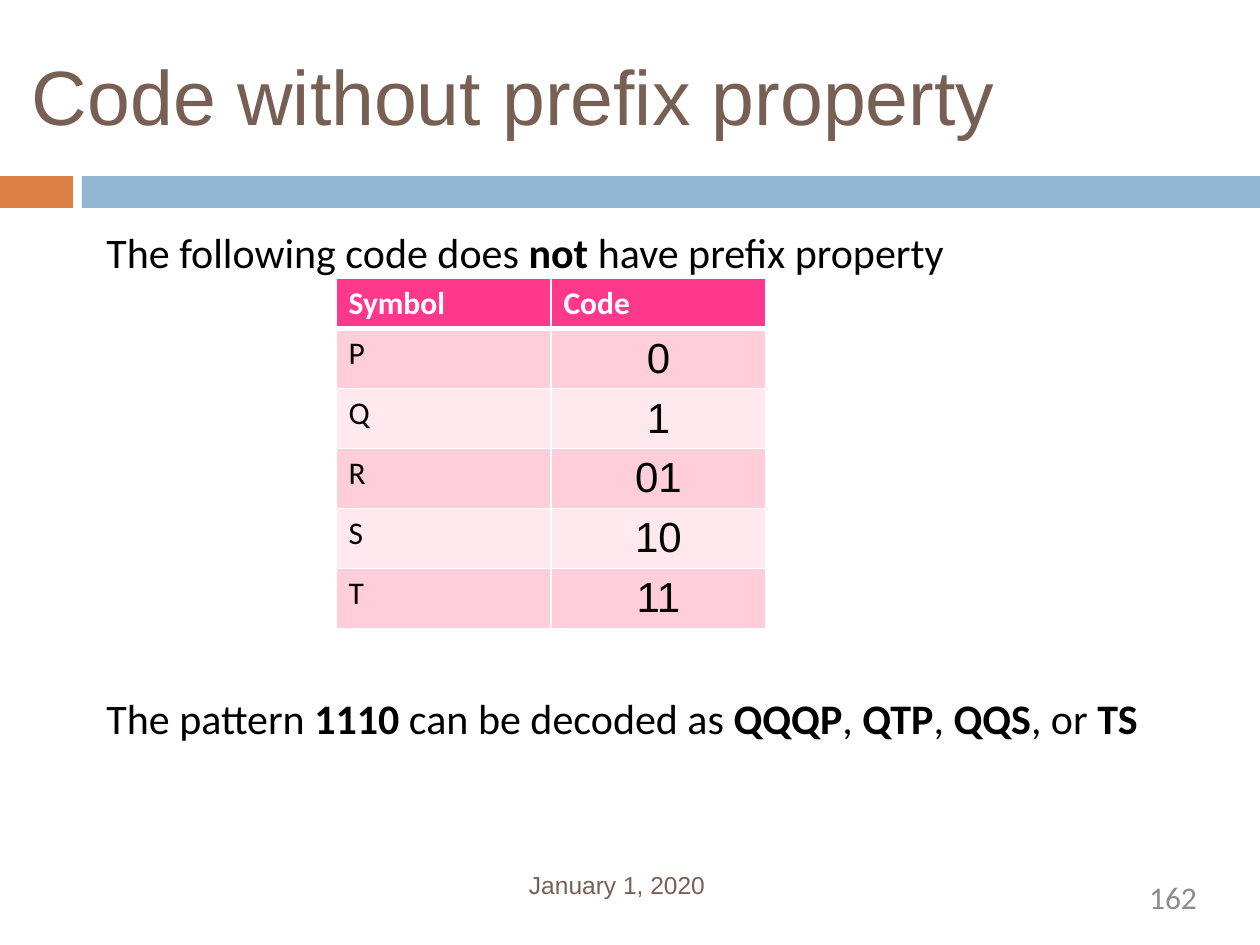
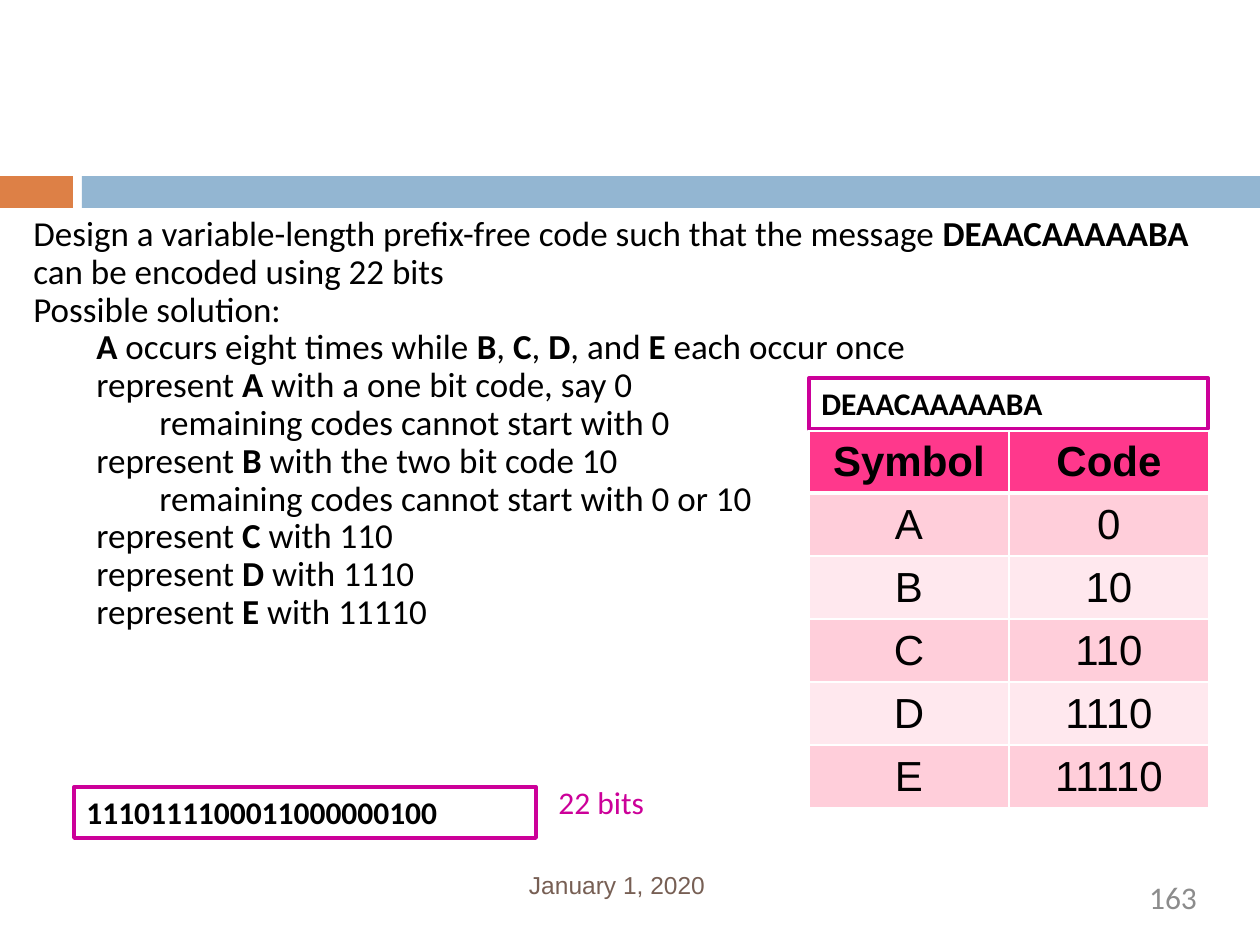
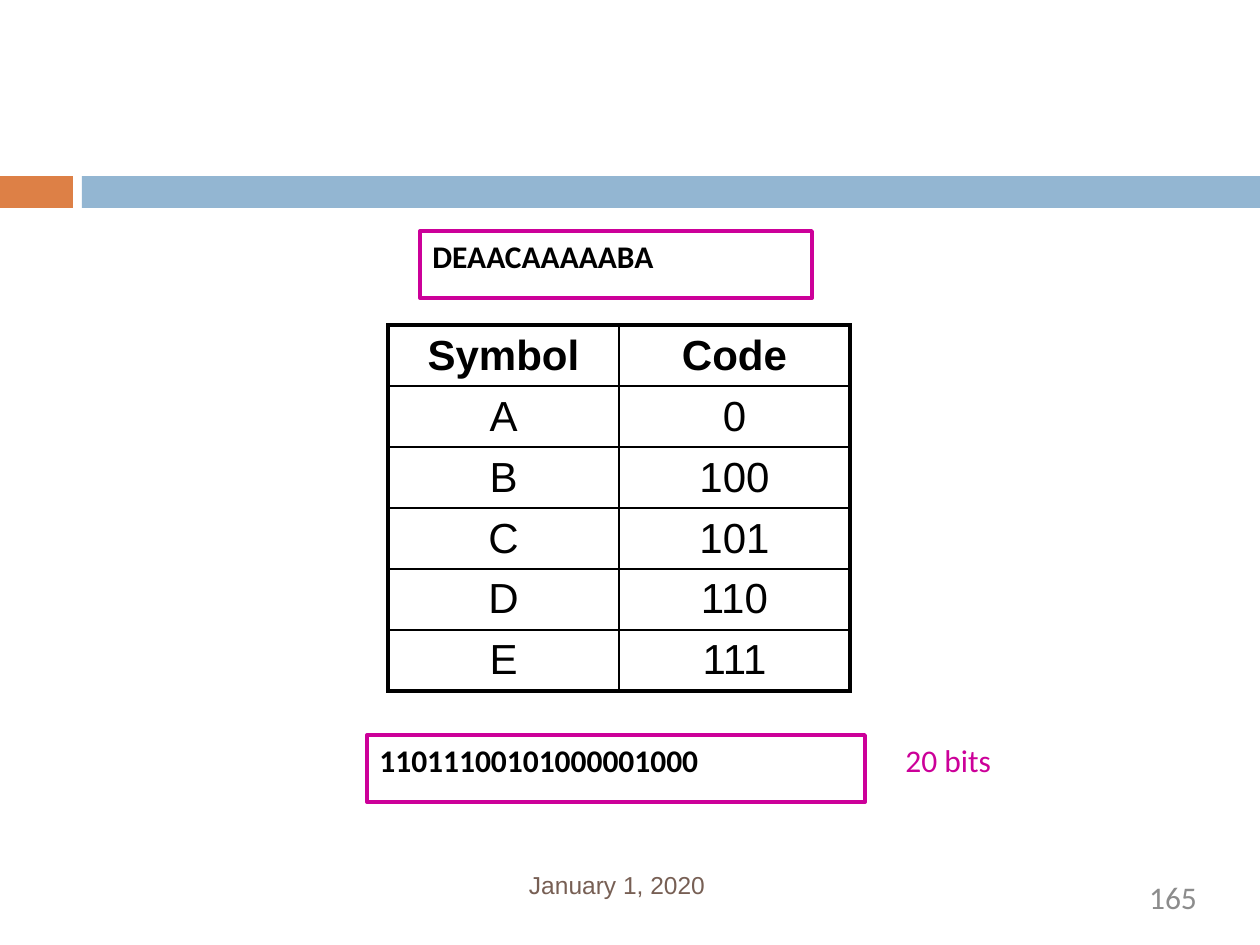
from dataclasses import dataclass

from lxml.etree import SubElement
from pptx import Presentation
from pptx.dml.color import RGBColor
from pptx.enum.shapes import MSO_SHAPE as Shape
from pptx.enum.text import MSO_ANCHOR as Anchor, PP_ALIGN as Align
from pptx.oxml.ns import qn
from pptx.util import Pt

EMU_PER_PX = 914400 / 126


@dataclass(frozen=True)
class Theme:
    """Colours, fonts and type sizes shared by the slides."""

    ink: str = "000000"
    paper: str = "FFFFFF"
    brown: str = "775F54"
    grey: str = "8C8C8C"
    orange: str = "DD8046"
    blue: str = "93B6D2"
    magenta: str = "CC0099"
    pink: str = "FF388C"
    pink_mid: str = "FFCEDA"
    pink_pale: str = "FFE8EE"
    sans: str = "Arial"
    body: str = "Calibri"
    title_size: int = 44
    lead_size: int = 24
    list_size: int = 20
    label_size: int = 18
    date_size: int = 14


THEME = Theme()


@dataclass(frozen=True)
class TableLook:
    """Borders, fills and label style of a code table."""

    line: str
    inner: float
    outer: float
    header_rule: float
    header_ink: str = THEME.ink
    header_fill: str = ""
    band_fills: tuple = ("", "")
    small_labels: bool = False


BANDED = dict(line=THEME.paper, inner=1, outer=1, header_rule=3,
              header_fill=THEME.pink,
              band_fills=(THEME.pink_mid, THEME.pink_pale))
PINK_SMALL = TableLook(**BANDED, header_ink=THEME.paper, small_labels=True)
PINK_LARGE = TableLook(**BANDED)
RULED = TableLook(line=THEME.ink, inner=1, outer=2.25, header_rule=1)


def px(*lengths):
    """Turn pixel lengths into EMU."""
    return [round(length * EMU_PER_PX) for length in lengths]


def colour(value):
    """Make a colour from its hex value."""
    return RGBColor.from_string(value)


def style(para, size, ink=THEME.ink, face=THEME.body, bold=False):
    """Format every run of a paragraph."""
    for span in para.runs:
        span.font.size = Pt(size)
        span.font.name = face
        span.font.bold = bold
        span.font.color.rgb = colour(ink)


def write_marked(para, marked, size):
    """Write text in which stars enclose the bold parts."""
    parts = marked.split("*")
    for part in parts:
        para.add_run().text = part
    style(para, size)
    for span in para.runs[1::2]:
        span.font.bold = True
    for span in [span for span in para.runs if not span.text]:
        para._p.remove(span._r)


def add_box(page, at, inset=True):
    """Add a wrapping text box and return its text frame."""
    frame = page.shapes.add_textbox(*px(*at)).text_frame
    frame.word_wrap = True
    if not inset:
        frame.margin_left = frame.margin_right = 0
        frame.margin_top = frame.margin_bottom = 0
    return frame


def add_label(page, text, at, size, ink, face=THEME.body, inset=False):
    """Add a one-line label and return its paragraph."""
    frame = add_box(page, at, inset)
    frame.text = text
    para = frame.paragraphs[0]
    style(para, size, ink, face)
    return para


def add_statement(page, marked, at):
    """Add a lead sentence with bold parts."""
    write_marked(add_box(page, at).paragraphs[0], marked, THEME.lead_size)


def add_outline(page, items, at):
    """Add indented paragraphs given as level and marked text."""
    frame = add_box(page, at)
    for index, (level, marked) in enumerate(items):
        para = frame.add_paragraph() if index else frame.paragraphs[0]
        para.line_spacing = 0.9
        para.level = level
        properties = para._p.get_or_add_pPr()
        properties.set("marL", str(px(63 * level)[0]))
        properties.set("indent", "0")
        write_marked(para, marked, THEME.list_size)


def add_band(page, fill, at):
    """Add one solid block of the band under the title."""
    band = page.shapes.add_shape(Shape.RECTANGLE, *px(*at))
    band.shadow.inherit = False
    band.fill.solid()
    band.fill.fore_color.rgb = colour(fill)
    band.line.fill.background()


def add_framed_code(page, text, at):
    """Add a bold message inside a magenta frame."""
    box = page.shapes.add_shape(Shape.RECTANGLE, *px(*at))
    box.shadow.inherit = False
    box.fill.background()
    box.line.color.rgb = colour(THEME.magenta)
    box.line.width = Pt(2.25)
    frame = box.text_frame
    frame.word_wrap = True
    frame.vertical_anchor = Anchor.TOP
    frame.text = text
    para = frame.paragraphs[0]
    para.alignment = Align.LEFT
    style(para, THEME.label_size, bold=True)


def add_bit_count(page, text, at):
    """Add the magenta length of an encoded message."""
    add_label(page, text, at, THEME.label_size, THEME.magenta, inset=True)


def set_borders(cell, ink, widths):
    """Draw the left, right, top and bottom borders of a cell."""
    properties = cell._tc.get_or_add_tcPr()
    for side, width in zip("LRTB", widths):
        line = SubElement(properties, qn(f"a:ln{side}"), w=str(Pt(width)))
        fill = SubElement(line, qn("a:solidFill"))
        SubElement(fill, qn("a:srgbClr"), val=ink)


def fill_cell(cell, fill):
    """Fill a cell, or leave it clear when no colour is given."""
    if fill:
        cell.fill.solid()
        cell.fill.fore_color.rgb = colour(fill)
    else:
        cell.fill.background()


def write_cell(cell, text, look, header, label):
    """Write a cell as a small label or as a large centred code."""
    cell.text_frame.text = text
    para = cell.text_frame.paragraphs[0]
    ink = look.header_ink if header else THEME.ink
    if look.small_labels and (header or label):
        style(para, THEME.label_size, ink, bold=header)
        return
    cell.vertical_anchor = Anchor.MIDDLE
    cell.margin_top, cell.margin_bottom = px(3, 3)
    para.alignment = Align.CENTER
    style(para, THEME.lead_size, ink, THEME.sans, header)


def add_code_table(page, codes, corner, column, heights, look):
    """Add a table of symbols and their codes."""
    rows = [("Symbol", "Code"), *codes]
    header_height, row_height = heights
    total = header_height + row_height * len(codes)
    table = page.shapes.add_table(
        len(rows), 2, *px(*corner, 2 * column, total)).table
    for table_column in table.columns:
        table_column.width = px(column)[0]
    rules = [look.outer, look.header_rule,
             *[look.inner] * (len(codes) - 1), look.outer]
    uprights = [look.outer, look.inner, look.outer]
    for y, row in enumerate(rows):
        table.rows[y].height = px(row_height if y else header_height)[0]
        fill = look.band_fills[(y - 1) % 2] if y else look.header_fill
        for x, text in enumerate(row):
            cell = table.cell(y, x)
            set_borders(cell, look.line,
                        uprights[x:x + 2] + rules[y:y + 2])
            fill_cell(cell, fill)
            write_cell(cell, text, look, y == 0, x == 0)


def add_page(deck, number):
    """Add a slide with its bands, date and page number."""
    page = deck.slides.add_slide(deck.slide_layouts[6])
    add_band(page, THEME.orange, (0, 176, 73, 32))
    add_band(page, THEME.blue, (82, 176, 1178, 32))
    date = add_label(page, "January 1, 2020", (529, 872, 292, 30),
                     THEME.date_size, THEME.brown, THEME.sans)
    date.line_spacing = Pt(15.8)
    folio = add_label(page, str(number), (907, 878, 290, 48),
                      THEME.label_size, THEME.grey)
    folio.alignment = Align.RIGHT
    return page


def build_ambiguous_code(deck):
    """Build the slide on a code without the prefix property."""
    page = add_page(deck, 162)
    add_label(page, "Code without prefix property", (32, 48, 1140, 96),
              THEME.title_size, THEME.brown, THEME.sans)
    add_statement(page, "The following code does *not* have prefix property",
                  (94, 220, 1071, 62))
    add_statement(page, "The pattern *1110* can be decoded as "
                  "*QQQP*, *QTP*, *QQS*, or *TS*", (94, 686, 1071, 62))
    codes = list(zip("PQRST", ("0", "1", "01", "10", "11")))
    add_code_table(page, codes, (336, 278), 215, (50, 60), PINK_SMALL)


def build_first_design(deck):
    """Build the slide that derives a 22-bit encoding."""
    page = add_page(deck, 163)
    add_outline(page, [
        (0, "Design a variable-length prefix-free code such that the message "
            "*DEAACAAAAABA* can be encoded using 22 bits"),
        (0, "Possible solution:"),
        (1, "*A* occurs eight times while *B*, *C*, *D*, and *E* "
            "each occur once"),
        (1, "represent *A* with a one bit code, say 0"),
        (2, "remaining codes cannot start with 0"),
        (1, "represent *B* with the two bit code 10"),
        (2, "remaining codes cannot start with 0 or 10"),
        (1, "represent *C* with 110"),
        (1, "represent *D* with 1110"),
        (1, "represent *E* with 11110"),
    ], (21, 210, 1207, 672))
    add_framed_code(page, "DEAACAAAAABA", (809, 378, 399, 51))
    codes = list(zip("ABCDE", ("0", "10", "110", "1110", "11110")))
    add_code_table(page, codes, (809, 431), 200, (62, 63), PINK_LARGE)
    add_framed_code(page, "1110111100011000000100", (74, 787, 462, 51))
    add_bit_count(page, "22 bits", (546, 777, 149, 63))


def build_second_design(deck):
    """Build the slide with a shorter 20-bit encoding."""
    page = add_page(deck, 165)
    codes = list(zip("ABCDE", ("0", "100", "101", "110", "111")))
    add_code_table(page, codes, (388, 325), 231, (61, 61), RULED)
    add_framed_code(page, "DEAACAAAAABA", (420, 231, 392, 67))
    add_framed_code(page, "11011100101000001000", (367, 735, 498, 67))
    add_bit_count(page, "20 bits", (893, 735, 149, 63))


def main():
    """Build the deck and save it."""
    deck = Presentation()
    deck.slide_width, deck.slide_height = px(1260, 945)
    build_ambiguous_code(deck)
    build_first_design(deck)
    build_second_design(deck)
    deck.save("out.pptx")


if __name__ == "__main__":
    main()
